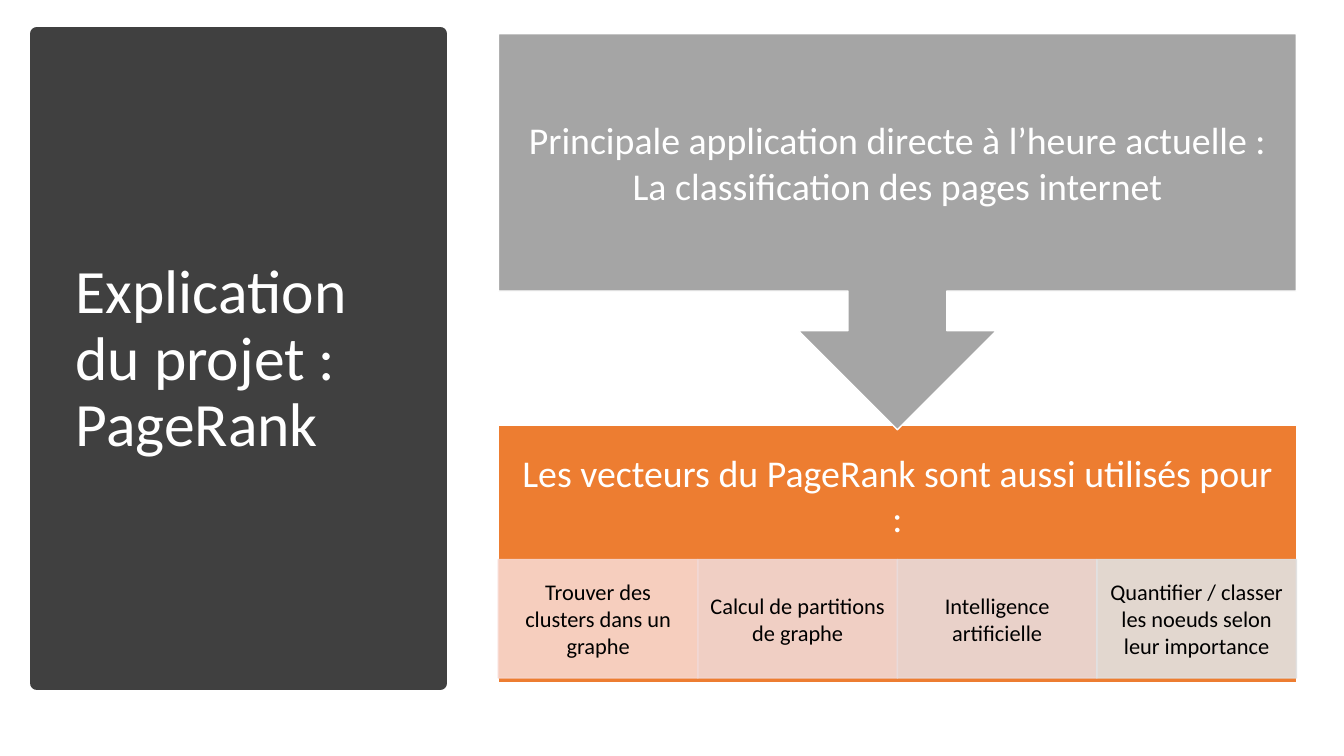
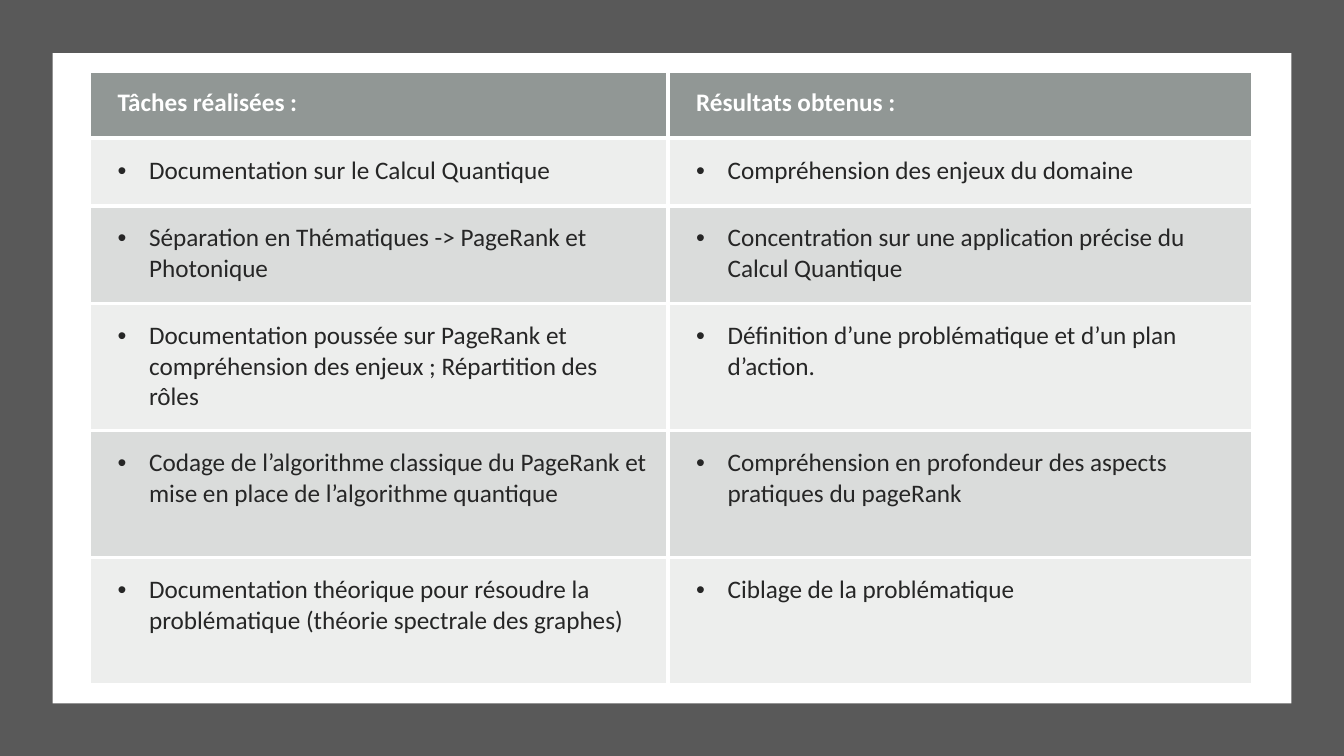
from collections import namedtuple

from lxml import etree
from pptx import Presentation
from pptx.dml.color import RGBColor
from pptx.enum.shapes import MSO_SHAPE
from pptx.enum.text import MSO_ANCHOR, PP_ALIGN
from pptx.oxml.ns import qn
from pptx.util import Pt

RECTANGLE = MSO_SHAPE.RECTANGLE
ARROW_CALLOUT = MSO_SHAPE.DOWN_ARROW_CALLOUT
MIDDLE = MSO_ANCHOR.MIDDLE
TOP = MSO_ANCHOR.TOP
LEFT = PP_ALIGN.LEFT
CENTER = PP_ALIGN.CENTER

WHITE = RGBColor(0xFF, 0xFF, 0xFF)
BLACK = RGBColor(0x00, 0x00, 0x00)
INK = RGBColor(0x26, 0x26, 0x26)
CHARCOAL = RGBColor(0x40, 0x40, 0x40)
FRAME_GRAY = RGBColor(0x59, 0x59, 0x59)
ARROW_GRAY = RGBColor(0xA5, 0xA5, 0xA5)
ORANGE = RGBColor(0xED, 0x7D, 0x31)
HEADER_GREEN = RGBColor(0x63, 0x6B, 0x68)
ROW_GREEN = RGBColor(0x87, 0x8E, 0x8B)
USE_TINTS = (
    RGBColor(0xF8, 0xD7, 0xCE),
    RGBColor(0xF1, 0xD8, 0xD4),
    RGBColor(0xE9, 0xDB, 0xDA),
    RGBColor(0xE1, 0xE1, 0xE1),
)

FONT = "Calibri"
SLIDE_WIDTH, SLIDE_HEIGHT = 960, 540
BULLET_INDENT = 22.5
BORDER_WIDTH = 3
ROW_HEIGHTS = (48.24, 48.24, 69.84, 90.72, 90.72, 90.72)
COLUMN_WIDTHS = (413.28, 417.6)

TITLE_FORMAT = {"size": Pt(44), "color": WHITE}
STAGE_FORMAT = {"size": Pt(27), "color": WHITE}
USE_FORMAT = {"size": Pt(16), "color": BLACK}
HEADER_FORMAT = {"size": Pt(18), "color": WHITE, "bold": True}
BODY_FORMAT = {"size": Pt(18), "color": INK, "bold": False}

USES = (
    "Trouver des clusters dans un graphe",
    "Calcul de partitions de graphe",
    "Intelligence artificielle",
    "Quantifier / classer les noeuds selon leur importance",
)
TASK_ROWS = (
    ("Tâches réalisées :", "Résultats obtenus :"),
    ("Documentation sur le Calcul Quantique", "Compréhension des enjeux du domaine"),
    ("Séparation en Thématiques -> PageRank et Photonique",
     "Concentration sur une application précise du Calcul Quantique"),
    ("Documentation poussée sur PageRank et compréhension des enjeux ; Répartition des rôles",
     "Définition d’une problématique et d’un plan d’action."),
    ("Codage de l’algorithme classique du PageRank et mise en place de l’algorithme quantique",
     "Compréhension en profondeur des aspects pratiques du pageRank"),
    ("Documentation théorique pour résoudre la problématique (théorie spectrale des graphes)",
     "Ciblage de la problématique"),
)

Box = namedtuple("Box", "left top width height")


def in_points(box):
    return [Pt(value) for value in box]


def set_opacity(fill, opacity):
    color = fill._xPr.find(qn("a:solidFill"))[0]
    etree.SubElement(color, qn("a:alpha"), val=str(opacity * 1000))


def set_margins(target, margins):
    for side, margin in zip(("left", "top", "right", "bottom"), margins):
        setattr(target, f"margin_{side}", Pt(margin))


def write_text(frame, text, text_format, align=LEFT, line_spacing=1.0):
    paragraph = frame.paragraphs[0]
    paragraph.alignment = align
    paragraph.line_spacing = line_spacing
    run = paragraph.add_run()
    run.text = text
    run.font.name = FONT
    for name, value in text_format.items():
        if name == "color":
            run.font.color.rgb = value
        else:
            setattr(run.font, name, value)
    return paragraph


def add_panel(slide, box, color, line_color=None, line_width=1, preset=RECTANGLE, opacity=100):
    shape = slide.shapes.add_shape(preset, *in_points(box))
    shape.shadow.inherit = False
    shape.fill.solid()
    shape.fill.fore_color.rgb = color
    if line_color is None:
        shape.line.fill.background()
    else:
        shape.line.color.rgb = line_color
        shape.line.width = Pt(line_width)
    if opacity < 100:
        set_opacity(shape.fill, opacity)
        set_opacity(shape.line.fill, opacity)
    return shape


def fill_frame(shape, text, text_format, margins, align=CENTER, line_spacing=1.0):
    frame = shape.text_frame
    frame.word_wrap = True
    frame.vertical_anchor = MIDDLE
    set_margins(frame, margins)
    write_text(frame, text, text_format, align, line_spacing)


def add_title_panel(slide, box, text):
    panel = add_panel(slide, box, CHARCOAL, CHARCOAL, 10)
    fill_frame(panel, text, TITLE_FORMAT, (27.5, 34, 26, 31), LEFT, 0.9)


def add_uses_stage(slide, box, heading, uses):
    use_height = box.height * 0.46
    use_width = box.width / len(uses)
    use_top = box.top + box.height * 0.52
    stage = add_panel(slide, box, ORANGE, WHITE)
    fill_frame(stage, heading, STAGE_FORMAT, (15, 15, 15, use_height + 15))
    for index, (text, tint) in enumerate(zip(uses, USE_TINTS)):
        use_box = Box(box.left + index * use_width, use_top, use_width, use_height)
        use = add_panel(slide, use_box, tint, tint, opacity=90)
        fill_frame(use, text, USE_FORMAT, (8.5, 1.5, 8.5, 1.5))


def add_arrow_stage(slide, box, text):
    stage = add_panel(slide, box, ARROW_GRAY, WHITE, preset=ARROW_CALLOUT)
    fill_frame(stage, text, STAGE_FORMAT, (15, 15, 15, 15))


def add_bullet(paragraph):
    properties = paragraph._p.get_or_add_pPr()
    properties.set("marL", str(Pt(BULLET_INDENT)))
    properties.set("indent", str(-Pt(BULLET_INDENT)))
    etree.SubElement(properties, qn("a:buFont"), typeface="Arial")
    etree.SubElement(properties, qn("a:buChar"), char="•")


def add_borders(cell):
    properties = cell._tc.get_or_add_tcPr()
    for index, side in enumerate(("lnL", "lnR", "lnT", "lnB")):
        line = etree.Element(qn(f"a:{side}"), w=str(Pt(BORDER_WIDTH)))
        fill = etree.SubElement(line, qn("a:solidFill"))
        etree.SubElement(fill, qn("a:srgbClr"), val=str(WHITE))
        properties.insert(index, line)


def format_cell(cell, text, row_index):
    is_header = row_index == 0
    cell.vertical_anchor = TOP
    set_margins(cell, (20, 12, 12, 12))
    cell.fill.solid()
    cell.fill.fore_color.rgb = HEADER_GREEN if is_header else ROW_GREEN
    set_opacity(cell.fill, 70 if is_header else 15 if row_index % 2 else 30)
    add_borders(cell)
    paragraph = write_text(cell.text_frame, text, HEADER_FORMAT if is_header else BODY_FORMAT)
    if not is_header:
        add_bullet(paragraph)


def add_task_table(slide, left, top, rows):
    box = Box(left, top, sum(COLUMN_WIDTHS), sum(ROW_HEIGHTS))
    table = slide.shapes.add_table(len(rows), len(COLUMN_WIDTHS), *in_points(box)).table
    table.first_row = False
    table.horz_banding = False
    for column, width in zip(table.columns, COLUMN_WIDTHS):
        column.width = Pt(width)
    for row_index, (row, height, texts) in enumerate(zip(table.rows, ROW_HEIGHTS, rows)):
        row.height = Pt(height)
        for cell, text in zip(row.cells, texts):
            format_cell(cell, text, row_index)


def build_explanation_slide(slide):
    add_title_panel(slide, Box(26.5, 24, 288, 464), "Explication du projet : PageRank")
    add_uses_stage(slide, Box(356, 304, 570, 184),
                   "Les vecteurs du PageRank sont aussi utilisés pour :", USES)
    add_arrow_stage(slide, Box(356, 24, 570, 283),
                    "Principale application directe à l’heure actuelle : "
                    "La classification des pages internet")


def build_results_slide(slide):
    add_panel(slide, Box(0, 0, SLIDE_WIDTH, SLIDE_HEIGHT), FRAME_GRAY)
    add_panel(slide, Box(37.5, 38, 885, 464.5), WHITE)
    add_task_table(slide, 64, 50.5, TASK_ROWS)


def main():
    presentation = Presentation()
    presentation.slide_width = Pt(SLIDE_WIDTH)
    presentation.slide_height = Pt(SLIDE_HEIGHT)
    blank_layout = presentation.slide_layouts[6]
    for build_slide in (build_explanation_slide, build_results_slide):
        build_slide(presentation.slides.add_slide(blank_layout))
    presentation.save("out.pptx")


if __name__ == "__main__":
    main()
